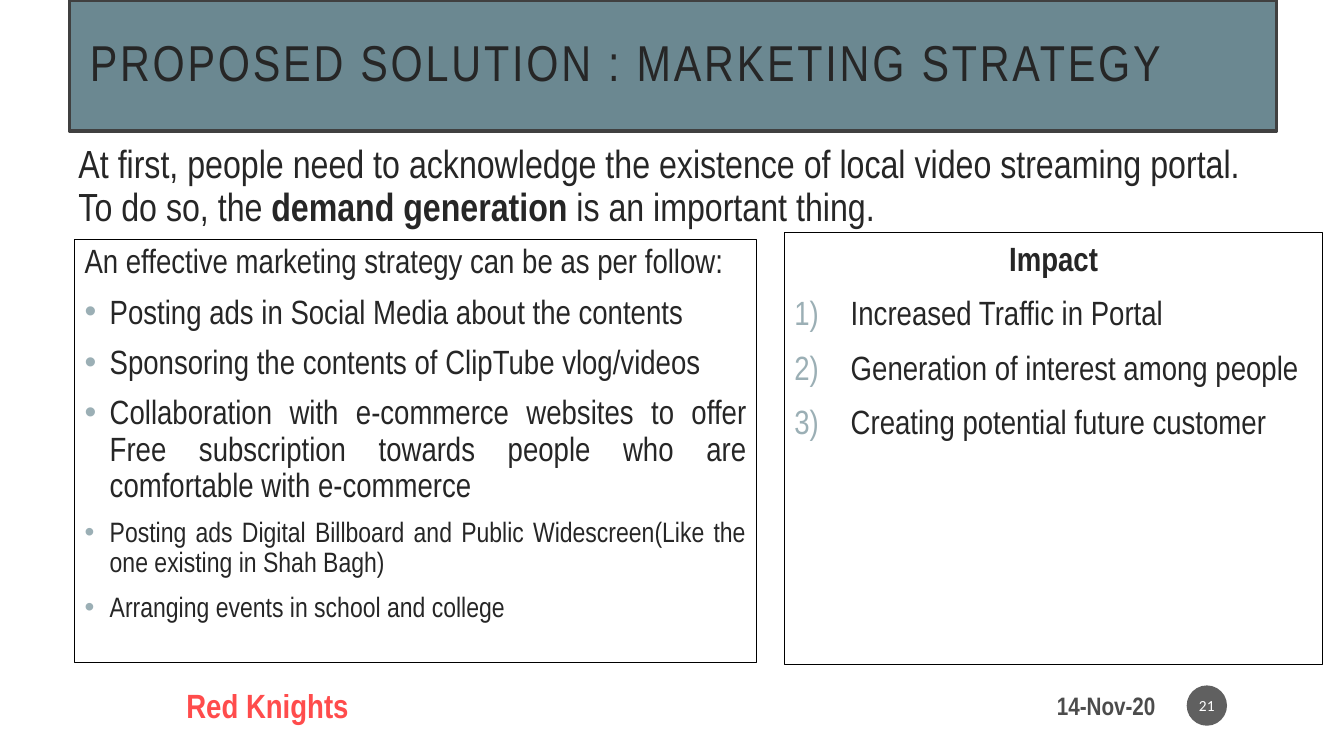
from dataclasses import dataclass

from lxml.etree import SubElement
from pptx import Presentation
from pptx.dml.color import RGBColor
from pptx.enum.shapes import MSO_SHAPE as Shape
from pptx.enum.text import MSO_ANCHOR as Anchor, MSO_AUTO_SIZE as AutoSize, PP_ALIGN as Align
from pptx.oxml.ns import qn
from pptx.util import Pt

PX = 9144


@dataclass(frozen=True)
class Theme:
    font: str = "Arial Narrow"
    number_font: str = "Calibri"
    ink: str = "262626"
    black: str = "000000"
    white: str = "FFFFFF"
    red: str = "FF0000"
    band: str = "6B8891"
    border: str = "404040"
    marker: str = "9BAFB5"
    badge: str = "1D1D1D"
    title: int = 36
    lead: int = 28
    item: int = 24
    small: int = 20
    date: int = 18
    number: int = 11


T = Theme()

STRATEGIES = [
    ("Posting ads in Social Media about the contents", T.item),
    ("Sponsoring the contents of ClipTube vlog/videos", T.item),
    ("Collaboration with e-commerce websites to offer Free subscription "
     "towards people who are comfortable with e-commerce", T.item),
    ("Posting ads Digital Billboard and Public Widescreen"
     "(Like the one existing in Shah Bagh)", T.small),
    ("Arranging events in school and college", T.small),
]
IMPACTS = [
    "Increased Traffic in Portal",
    "Generation of interest among people",
    "Creating potential future customer",
]


def rgb(color):
    return RGBColor.from_string(color)


def set_alpha(element, percent):
    for color in element.iter(qn("a:srgbClr")):
        SubElement(color, qn("a:alpha"), val=str(percent * 1000))


def place(s, left, top, width, height):
    s.left, s.top, s.width, s.height = (v * PX for v in (left, top, width, height))


def set_frame(s, anchor=Anchor.TOP, inset=(10, 5)):
    tf = s.text_frame
    tf.word_wrap = True
    tf.auto_size = AutoSize.NONE
    tf.vertical_anchor = anchor
    tf.margin_left = tf.margin_right = inset[0] * PX
    tf.margin_top = tf.margin_bottom = inset[1] * PX
    return tf


def set_line(s, color, width):
    s.line.color.rgb = rgb(color)
    s.line.width = Pt(width)


def add_run(p, text, size=T.item, font=T.font, color=T.ink, bold=False, alpha=None, spacing=None):
    r = p.add_run()
    r.text = text
    r.font.size = Pt(size)
    r.font.name = font
    r.font.bold = bold
    r.font.color.rgb = rgb(color)
    if alpha:
        set_alpha(r._r, alpha)
    if spacing:
        r._r.get_or_add_rPr().set("spc", str(spacing * 100))


def add_text(tf, text, align=Align.LEFT, line=None, before=0, mark=None, indent=0, **style):
    p = tf.paragraphs[0] if not tf.paragraphs[0].runs else tf.add_paragraph()
    p.alignment = align
    p.line_spacing = line
    p.space_before = Pt(before)
    if text:
        add_run(p, text, **style)
    if mark:
        pPr = p._p.get_or_add_pPr()
        pPr.set("marL", str(indent * PX))
        pPr.set("indent", str(-indent * PX))
        SubElement(SubElement(pPr, qn("a:buClr")), qn("a:srgbClr"), val=T.marker)
        SubElement(pPr, qn("a:buFont"), typeface="Arial" if mark == "•" else T.font)
        if mark == "•":
            SubElement(pPr, qn("a:buChar"), char=mark)
        else:
            SubElement(pPr, qn("a:buAutoNum"), type=mark)
    return p


def add_box(slide, box, **frame):
    s = slide.shapes.add_textbox(*(v * PX for v in box))
    return set_frame(s, **frame)


def add_panel(slide, box):
    s = slide.shapes.add_shape(Shape.RECTANGLE, *(v * PX for v in box))
    s.shadow.inherit = False
    s.fill.background()
    set_line(s, T.black, 0.75)
    return set_frame(s)


def add_title(slide, text):
    s = slide.shapes.title
    place(s, 69, 0, 1197, 130)
    s.fill.solid()
    s.fill.fore_color.rgb = rgb(T.band)
    set_line(s, T.border, 2.5)
    tf = set_frame(s, Anchor.MIDDLE, (20, 20))
    add_text(tf, text, line=0.9, size=T.title, spacing=2)


def add_lead(slide):
    tf = add_box(slide, (68, 139, 1198, 99))
    p = add_text(tf, "At first, people need to acknowledge the existence of local video "
                 "streaming portal. To do so, the ", line=0.9, before=10, size=T.lead)
    add_run(p, "demand generation", size=T.lead, bold=True)
    add_run(p, " is an important thing.", size=T.lead)


def add_strategies(slide):
    tf = add_panel(slide, (74, 238, 676, 419))
    layout = dict(align=Align.JUSTIFY, line=0.9, before=10)
    add_text(tf, "An effective marketing strategy can be as per follow:", **layout)
    for text, size in STRATEGIES:
        add_text(tf, text, mark="•", indent=25, size=size, **layout)


def add_impacts(slide):
    tf = add_panel(slide, (778, 231, 534, 428))
    add_text(tf, "Impact", align=Align.CENTER, before=10, bold=True)
    for text in IMPACTS:
        add_text(tf, text, before=10, mark="arabicParenR", indent=56)


def add_badge(slide, number):
    s = slide.shapes.add_shape(Shape.OVAL, 1177 * PX, 680 * PX, 40 * PX, 40 * PX)
    s.shadow.inherit = False
    s.fill.solid()
    s.fill.fore_color.rgb = rgb(T.badge)
    set_alpha(s._element.spPr, 70)
    s.line.fill.background()
    tf = set_frame(s, Anchor.MIDDLE, (2, 5))
    add_text(tf, number, align=Align.CENTER, size=T.number, font=T.number_font, color=T.white)


def add_footer(slide):
    date = add_box(slide, (855, 682, 301, 35), anchor=Anchor.MIDDLE)
    add_text(date, "14-Nov-20", align=Align.RIGHT, size=T.date, color=T.black, bold=True, alpha=70)
    team = add_box(slide, (175, 682, 645, 35), anchor=Anchor.MIDDLE)
    add_text(team, "Red Knights", size=T.item, color=T.red, bold=True, alpha=70)
    add_badge(slide, "21")


def main():
    prs = Presentation()
    prs.slide_width, prs.slide_height = 1333 * PX, 750 * PX
    slide = prs.slides.add_slide(prs.slide_layouts[5])
    add_title(slide, "PROPOSED SOLUTION : MARKETING STRATEGY")
    add_lead(slide)
    add_footer(slide)
    add_strategies(slide)
    add_impacts(slide)
    prs.save("out.pptx")


if __name__ == "__main__":
    main()
